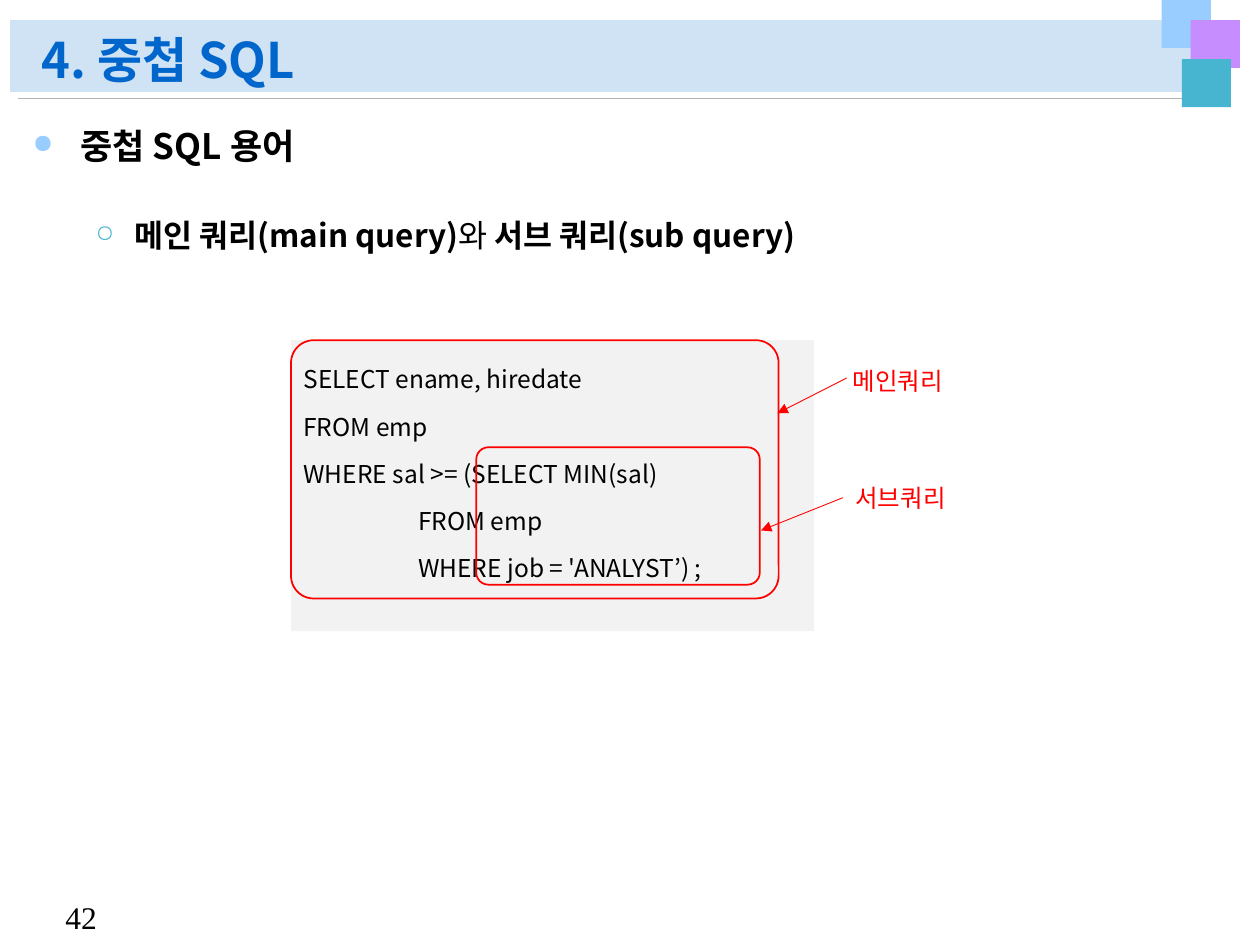
from lxml import etree
from pptx import Presentation
from pptx.dml.color import RGBColor
from pptx.enum.shapes import MSO_CONNECTOR, MSO_SHAPE
from pptx.enum.text import MSO_ANCHOR, PP_ALIGN
from pptx.oxml.ns import qn
from pptx.util import Inches, Pt

RECTANGLE = MSO_SHAPE.RECTANGLE
ROUNDED = MSO_SHAPE.ROUNDED_RECTANGLE
STRAIGHT = MSO_CONNECTOR.STRAIGHT
TOP, MIDDLE, BOTTOM = MSO_ANCHOR.TOP, MSO_ANCHOR.MIDDLE, MSO_ANCHOR.BOTTOM
LEFT, JUSTIFY = PP_ALIGN.LEFT, PP_ALIGN.JUSTIFY

FONT, NUMBER_FONT = "Noto Sans CJK KR", "Times New Roman"
BLACK, RED, BLUE, GRAY = "000000", "FF0000", "0066CC", "B2B2B2"

TITLE = "4. 중첩 SQL"
PAGE_NUMBER = "42"
TITLE_BAND = (0.08, 0.16, 9.69, 0.57, "D0E3F5")
CORNER_SQUARES = [(9.22, 0, "99CCFF"), (9.45, 0.16, "C68DFF"), (9.38, 0.47, "47B5CF")]
SQUARE_SIZE = (0.39, 0.38)

# runs as (text, bold), size, line height, space before, indent, hanging, bullet, colour
OUTLINE = [
    ([("중첩 SQL 용어", True)], 20, 24, 0, 0.38, 0.38, "●", "99CCFF"),
    ([("메인 쿼리(main query)", True), ("와", False), (" 서브 쿼리(sub query)", True)],
     18, 22, 28, 0.81, 0.31, "○", "47B5CF"),
]

# text, indent level
CODE = [
    ("SELECT ename, hiredate", 0),
    ("FROM emp", 0),
    ("WHERE sal >= (SELECT MIN(sal)", 0),
    ("FROM emp", 1),
    ("WHERE job = 'ANALYST’) ;", 1),
]
CODE_BOX = (2.31, 2.7, 4.15, 2.31)
CODE_INDENT = 0.91

# frame, label, label position, arrow start, arrow end
QUERIES = [
    ((3.78, 3.55, 2.25, 1.09), "서브쿼리", (6.69, 3.78), (6.69, 3.95), (6.04, 4.21)),
    ((2.31, 2.7, 3.87, 2.05), "메인쿼리", (6.67, 2.85), (6.72, 3), (6.17, 3.28)),
]
LABEL_SIZE = (0.99, 0.34)


def color(value):
    return RGBColor.from_string(value)


def add_box(slide, kind, frame, fill=None, line=None):
    shape = slide.shapes.add_shape(kind, *map(Inches, frame))
    shape.shadow.inherit = False
    if fill:
        shape.fill.solid()
        shape.fill.fore_color.rgb = color(fill)
    else:
        shape.fill.background()
    if line:
        shape.line.color.rgb = color(line)
        shape.line.width = Pt(1)
    else:
        shape.line.fill.background()
    return shape


def add_line(slide, start, end, line, arrow=False):
    connector = slide.shapes.add_connector(STRAIGHT, *map(Inches, start + end))
    connector.line.color.rgb = color(line)
    connector.line.width = Pt(0.5)
    if arrow:
        etree.SubElement(connector.line._get_or_add_ln(), qn("a:tailEnd"), type="triangle")
    etree.SubElement(connector._element.spPr, qn("a:effectLst"))


def add_text_box(slide, frame, anchor):
    text_frame = slide.shapes.add_textbox(*map(Inches, frame)).text_frame
    text_frame.word_wrap = True
    text_frame.vertical_anchor = anchor
    return text_frame


def write_paragraph(text_frame, index, runs, size, ink, font=FONT, height=None, align=LEFT):
    """Write (text, bold) runs with one font, and a fixed line height if given."""
    paragraph = text_frame.paragraphs[0] if index == 0 else text_frame.add_paragraph()
    paragraph.alignment = align
    paragraph.font.size = Pt(size)
    if height:
        paragraph.line_spacing = Pt(height)
    for text, bold in runs:
        run = paragraph.add_run()
        run.text = text
        run.font.size = Pt(size)
        run.font.bold = bold
        run.font.color.rgb = color(ink)
        run.font.name = font
        etree.SubElement(run._r.get_or_add_rPr(), qn("a:ea"), typeface=font)
    return paragraph


def indent(paragraph, left, hanging=0):
    properties = paragraph._p.get_or_add_pPr()
    properties.set("marL", str(Inches(left)))
    properties.set("indent", str(-Inches(hanging)))
    return properties


def add_bullet(properties, character, ink):
    bullet_color = etree.SubElement(properties, qn("a:buClr"))
    etree.SubElement(bullet_color, qn("a:srgbClr"), val=ink)
    etree.SubElement(properties, qn("a:buSzPct"), val="75000")
    etree.SubElement(properties, qn("a:buChar"), char=character)


def add_header(slide):
    *band, band_fill = TITLE_BAND
    add_box(slide, RECTANGLE, band, band_fill)
    add_line(slide, (9.74, 0.78), (0.14, 0.78), GRAY)
    for left, top, fill in CORNER_SQUARES:
        add_box(slide, RECTANGLE, (left, top) + SQUARE_SIZE, fill)
    title = add_text_box(slide, (0.23, 0.17, 8.98, 0.58), BOTTOM)
    write_paragraph(title, 0, [(TITLE, True)], 28, BLUE, height=30)


def add_outline(slide):
    body = add_text_box(slide, (0.16, 0.94, 9.61, 1.4), TOP)
    for index, (runs, size, height, before, left, hanging, bullet, ink) in enumerate(OUTLINE):
        paragraph = write_paragraph(body, index, runs, size, BLACK, height=height)
        paragraph.space_before = Pt(before)
        add_bullet(indent(paragraph, left, hanging), bullet, ink)


def add_code(slide):
    code = add_box(slide, RECTANGLE, CODE_BOX, "F2F2F2").text_frame
    code.word_wrap = True
    code.vertical_anchor = TOP
    for index, (text, level) in enumerate(CODE):
        paragraph = write_paragraph(code, index, [(text, False)], 14, BLACK,
                                    height=27, align=JUSTIFY)
        indent(paragraph, level * CODE_INDENT)


def add_query_marks(slide):
    for frame, label, position, start, end in QUERIES:
        add_box(slide, ROUNDED, frame, line=RED).adjustments[0] = 0.088
        add_line(slide, start, end, RED, arrow=True)
        text_frame = add_text_box(slide, position + LABEL_SIZE, MIDDLE)
        write_paragraph(text_frame, 0, [(label, False)], 14, RED)


def main():
    presentation = Presentation()
    presentation.slide_width, presentation.slide_height = Inches(10), Inches(7.5)
    slide = presentation.slides.add_slide(presentation.slide_layouts[6])
    add_header(slide)
    number = add_text_box(slide, (0.42, 7.08, 0.5, 0.4), MIDDLE)
    write_paragraph(number, 0, [(PAGE_NUMBER, False)], 18, BLACK, NUMBER_FONT)
    add_outline(slide)
    add_code(slide)
    add_query_marks(slide)
    presentation.save("out.pptx")


if __name__ == "__main__":
    main()
